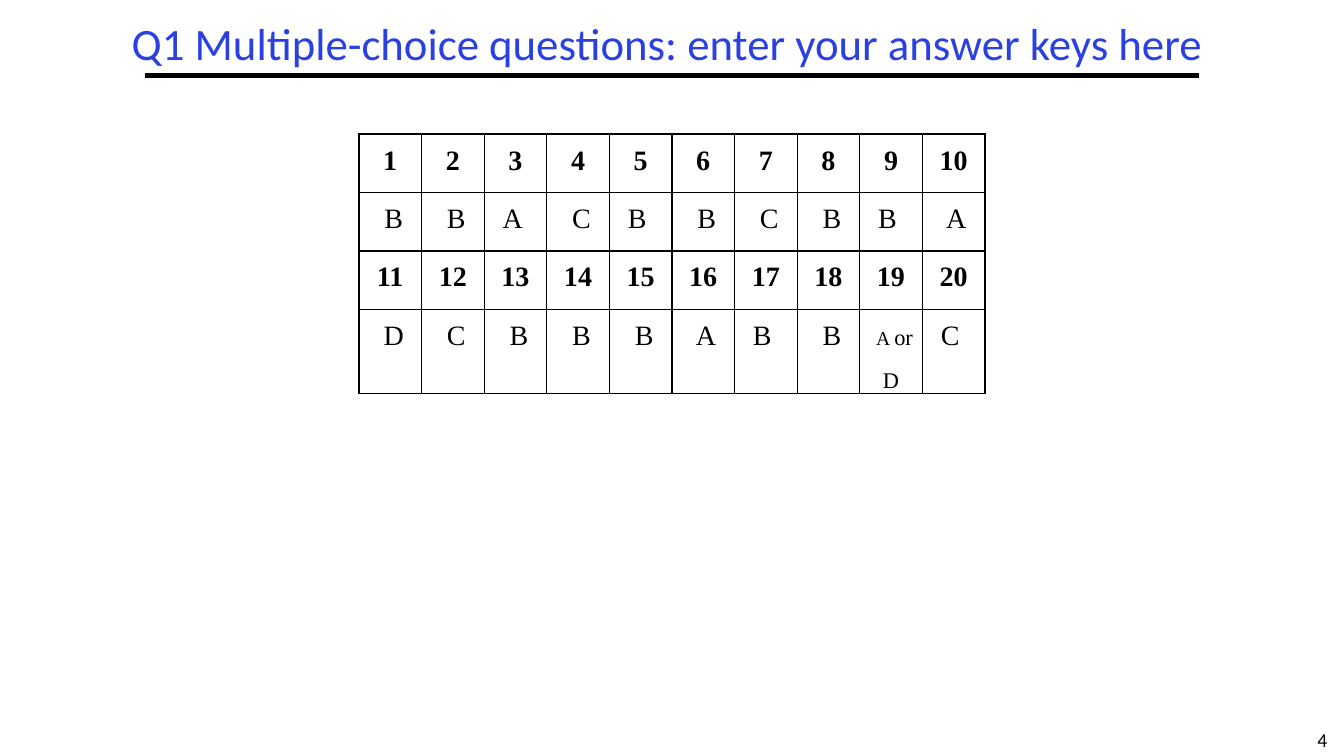
from lxml import etree
from pptx import Presentation
from pptx.dml.color import RGBColor
from pptx.enum.shapes import MSO_CONNECTOR
from pptx.enum.text import MSO_ANCHOR, PP_ALIGN
from pptx.oxml.ns import qn
from pptx.util import Inches, Pt

BLACK = RGBColor(0x00, 0x00, 0x00)
BLUE = RGBColor(0x2A, 0x40, 0xE2)
CENTER = PP_ALIGN.CENTER
MIDDLE = MSO_ANCHOR.MIDDLE
TOP = MSO_ANCHOR.TOP
STRAIGHT = MSO_CONNECTOR.STRAIGHT

ROWS = [
    [str(number) for number in range(1, 11)],
    [" B", " B", "A ", " C", "B ", " B", " C", " B", "B ", " A"],
    [str(number) for number in range(11, 21)],
    [" D", " C", " B", " B", " B", " A", "B ", " B", "", "C "],
]
TWO_ANSWERS = [(" ", 20), ("A ", 14), ("or D", 16)]


def add_label(slide, text, left, top, width, height, size, color, anchor, wrap):
    shape = slide.shapes.add_textbox(Inches(left), Inches(top), Inches(width), Inches(height))
    text_frame = shape.text_frame
    text_frame.word_wrap = wrap
    text_frame.vertical_anchor = anchor
    text_frame.text = text
    paragraph = text_frame.paragraphs[0]
    paragraph.alignment = CENTER
    font = paragraph.runs[0].font
    font.name = "Calibri"
    font.size = Pt(size)
    font.color.rgb = color
    return paragraph


def add_borders(cell):
    properties = cell._tc.get_or_add_tcPr()
    for index, side in enumerate(("a:lnL", "a:lnR", "a:lnT", "a:lnB")):
        line = etree.Element(qn(side), w=str(Pt(1)))
        fill = etree.SubElement(line, qn("a:solidFill"))
        etree.SubElement(fill, qn("a:srgbClr"), val=str(BLACK))
        properties.insert(index, line)


presentation = Presentation()
presentation.slide_width = Inches(13.33)
presentation.slide_height = Inches(7.5)
slide = presentation.slides.add_slide(presentation.slide_layouts[6])

add_label(slide, "4", 12.9, 7.17, 0.43, 0.33, 14, BLACK, TOP, False)

title_rule = slide.shapes.add_connector(
    STRAIGHT, Inches(1.44), Inches(0.75), Inches(11.89), Inches(0.75)
)
title_rule.line.color.rgb = BLACK
title_rule.line.width = Pt(3)
etree.SubElement(title_rule._element.spPr, qn("a:effectLst"))

title = add_label(
    slide, "Q1 Multiple-choice questions: enter your answer keys here",
    0.83, 0.17, 11.58, 0.58, 32, BLUE, MIDDLE, True,
)
title.line_spacing = 0.9

table = slide.shapes.add_table(
    4, 10, Inches(3.56), Inches(1.33), Inches(6.21), Inches(4 * 0.58)
).table
table.first_row = False
table.horz_banding = False

for row_index, row in enumerate(ROWS):
    for column_index, text in enumerate(row):
        cell = table.cell(row_index, column_index)
        cell.margin_left = cell.margin_right = Inches(0.07)
        cell.margin_top = cell.margin_bottom = 0
        cell.fill.background()
        add_borders(cell)
        paragraph = cell.text_frame.paragraphs[0]
        paragraph.alignment = CENTER
        paragraph.line_spacing = Pt(30)
        paragraph.space_after = Pt(3.6)
        for run_text, size in [(text, 20)] if text else TWO_ANSWERS:
            run = paragraph.add_run()
            run.text = run_text
            run.font.name = "Times New Roman"
            run.font.size = Pt(size)
            run.font.bold = row_index % 2 == 0
            run.font.color.rgb = BLACK

presentation.save("out.pptx")
